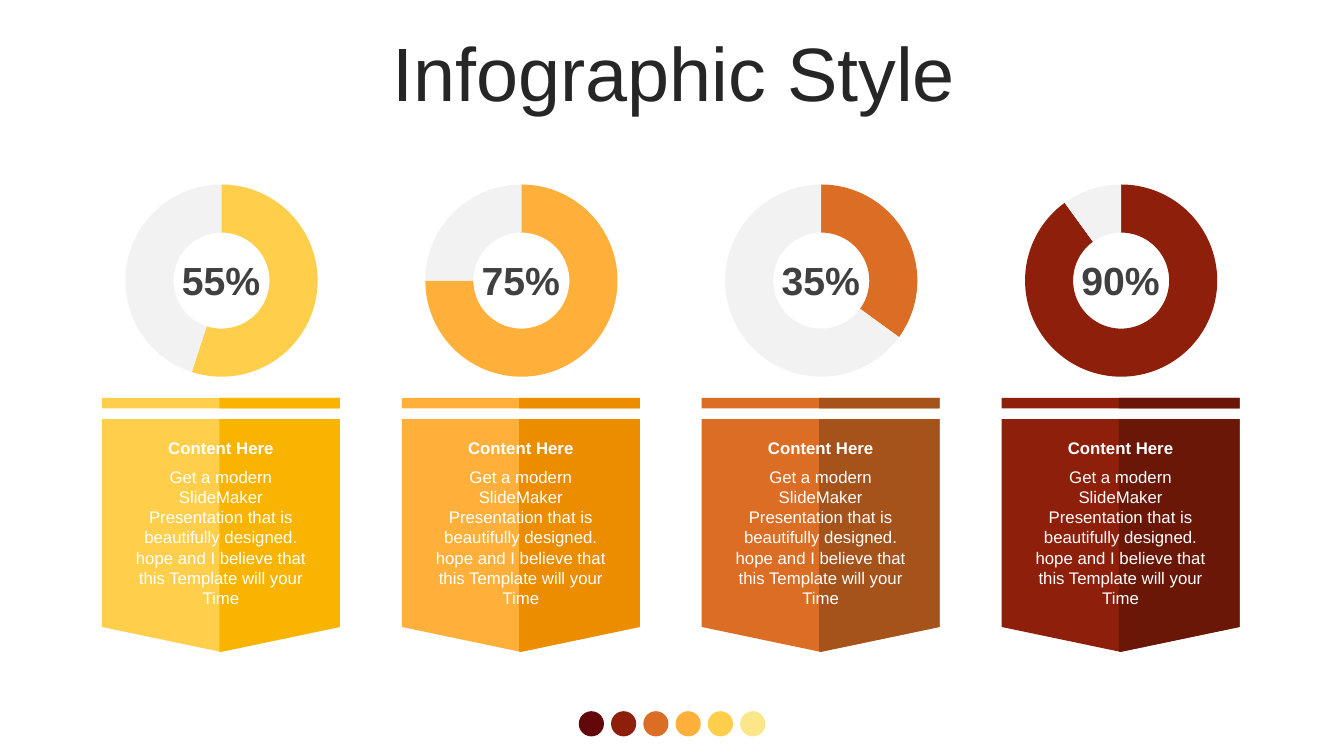
from lxml.etree import SubElement
from pptx import Presentation
from pptx.chart.data import CategoryChartData
from pptx.dml.color import RGBColor
from pptx.enum.chart import XL_CHART_TYPE
from pptx.enum.shapes import MSO_SHAPE
from pptx.enum.text import MSO_ANCHOR, MSO_AUTO_SIZE, PP_ALIGN
from pptx.oxml.ns import qn
from pptx.util import Pt

# Content
TITLE = "Infographic Style"
HEADING = "Content Here"
BODY = ("Get a modern SlideMaker Presentation that is beautifully designed. "
        "hope and I believe that this Template will your Time")
COLUMNS = [  # percent, left colour, right colour
    (55, "yellow", "dark yellow"),
    (75, "amber", "dark amber"),
    (35, "orange", "dark orange"),
    (90, "red", "dark red"),
]
DOTS = ["maroon", "red", "orange", "amber", "yellow", "cream"]
COLOURS = {
    "yellow": "FFCE4B", "dark yellow": "F8B400",
    "amber": "FFB03B", "dark amber": "EC8D00",
    "orange": "DB6D25", "dark orange": "A5521B",
    "red": "8E1F0B", "dark red": "6A1708",
    "maroon": "63070A", "cream": "FCE68A",
    "rest": "F2F2F2", "title": "262626", "percent": "404040",
    "white": "FFFFFF", "black": "000000",
}
FONT = "Arial"

# Layout, in points
FIRST_LEFT, COLUMN_PITCH, COLUMN_WIDTH = 72.8, 214.2, 170
SHADE_OFFSET = 83.8
BAR_TOP, BAR_HEIGHT = 284.2, 7.5
BANNER_TOP, BANNER_SIDE, BANNER_TIP = 299.3, 447.8, 465.6
CHART_OFFSET, CHART_TOP, CHART_WIDTH, CHART_HEIGHT = 8.3, 118.8, 153.4, 162.7
PLOT_AREA = {"x": 0.054, "y": 0.08, "w": 0.898, "h": 0.844}
FIRST_DOT, DOT_TOP, DOT_PITCH, DOT_SIZE = 413.4, 508, 23.05, 18


def colour(name):
    return RGBColor.from_string(COLOURS[name])


def paint(shape, name):
    shape.fill.solid()
    shape.fill.fore_color.rgb = colour(name)
    shape.line.fill.background()
    shape.shadow.inherit = False


def add_preset(kind, left, top, width, height, name):
    paint(slide.shapes.add_shape(kind, Pt(left), Pt(top), Pt(width), Pt(height)), name)


def add_outline(points, name):
    corners = [(Pt(x), Pt(y)) for x, y in points]
    builder = slide.shapes.build_freeform(*corners[0])
    builder.add_line_segments(corners[1:], close=True)
    paint(builder.convert_to_shape(), name)


def write(shape, text, size, name, bold=False, anchor=MSO_ANCHOR.MIDDLE):
    frame = shape.text_frame
    frame.word_wrap = True
    frame.auto_size = MSO_AUTO_SIZE.NONE
    frame.vertical_anchor = anchor
    paragraph = frame.paragraphs[0]
    paragraph.alignment = PP_ALIGN.CENTER
    run = paragraph.add_run()
    run.text = text
    run.font.name, run.font.size, run.font.bold = FONT, Pt(size), bold
    run.font.color.rgb = colour(name)
    return paragraph


def add_text(left, top, width, height, *args, **options):
    box = slide.shapes.add_textbox(Pt(left), Pt(top), Pt(width), Pt(height))
    write(box, *args, **options)


def add_doughnut(left, percent, name):
    data = CategoryChartData()
    data.categories = ["1", "2"]
    data.add_series("Series 1", (percent, 100 - percent))
    chart = slide.shapes.add_chart(
        XL_CHART_TYPE.DOUGHNUT, Pt(left), Pt(CHART_TOP),
        Pt(CHART_WIDTH), Pt(CHART_HEIGHT), data).chart
    chart.has_legend = chart.has_title = False
    chart.font.name, chart.font.size = FONT, Pt(18)
    chart.font.color.rgb = colour("black")
    plot = chart.plots[0]
    plot.vary_by_categories = True
    for index, slice_name in enumerate((name, "rest")):
        slice_format = plot.series[0].points[index].format
        slice_format.fill.solid()
        slice_format.fill.fore_color.rgb = colour(slice_name)
        slice_format.line.fill.background()

    # Hole size and fixed inner plot area
    plot_area = chart.element.find(".//" + qn("c:plotArea"))
    plot_area.find(".//" + qn("c:holeSize")).set("val", "60")
    for layout in plot_area.findall(qn("c:layout")):
        plot_area.remove(layout)
    layout = SubElement(plot_area, qn("c:layout"))
    plot_area.insert(0, layout)
    manual = SubElement(layout, qn("c:manualLayout"))
    settings = {"layoutTarget": "inner", "xMode": "edge", "yMode": "edge", **PLOT_AREA}
    for tag, value in settings.items():
        SubElement(manual, qn("c:" + tag)).set("val", str(value))


presentation = Presentation()
presentation.slide_width, presentation.slide_height = Pt(960), Pt(540)
slide = presentation.slides.add_slide(presentation.slide_layouts[5])

# Title
title = slide.shapes.title
title.left, title.top, title.width, title.height = Pt(25.6), Pt(26.6), Pt(911.5), Pt(56.9)
write(title, TITLE, 54, "title").line_spacing = 0.9

# Palette dots
for index, name in enumerate(DOTS):
    add_preset(MSO_SHAPE.OVAL, FIRST_DOT + index * DOT_PITCH, DOT_TOP,
               DOT_SIZE, DOT_SIZE, name)

# Columns: doughnut, bar, banner and text
for index, (percent, light, dark) in enumerate(COLUMNS):
    left = FIRST_LEFT + index * COLUMN_PITCH
    right, middle, shade = left + COLUMN_WIDTH, left + COLUMN_WIDTH / 2, left + SHADE_OFFSET

    add_doughnut(left + CHART_OFFSET, percent, light)
    add_text(middle - 36.7, 179.3, 73.4, 41, f"{percent}%", 28, "percent", bold=True)

    for start, name in ((left, light), (shade, dark)):
        add_preset(MSO_SHAPE.RECTANGLE, start, BAR_TOP, right - start, BAR_HEIGHT, name)
    right_side = [(right, BANNER_TOP), (right, BANNER_SIDE), (middle, BANNER_TIP)]
    add_outline([(left, BANNER_TOP), *right_side, (left, BANNER_SIDE)], light)
    add_outline([(shade, BANNER_TOP), *right_side, (shade, BANNER_TIP - 0.2)], dark)

    add_text(middle - 70.2, 309, 140.4, 21.6, HEADING, 12, "white", bold=True)
    add_text(middle - 70.2, 329.8, 140.4, 108.7, BODY, 12, "white", anchor=MSO_ANCHOR.TOP)

presentation.save("out.pptx")
